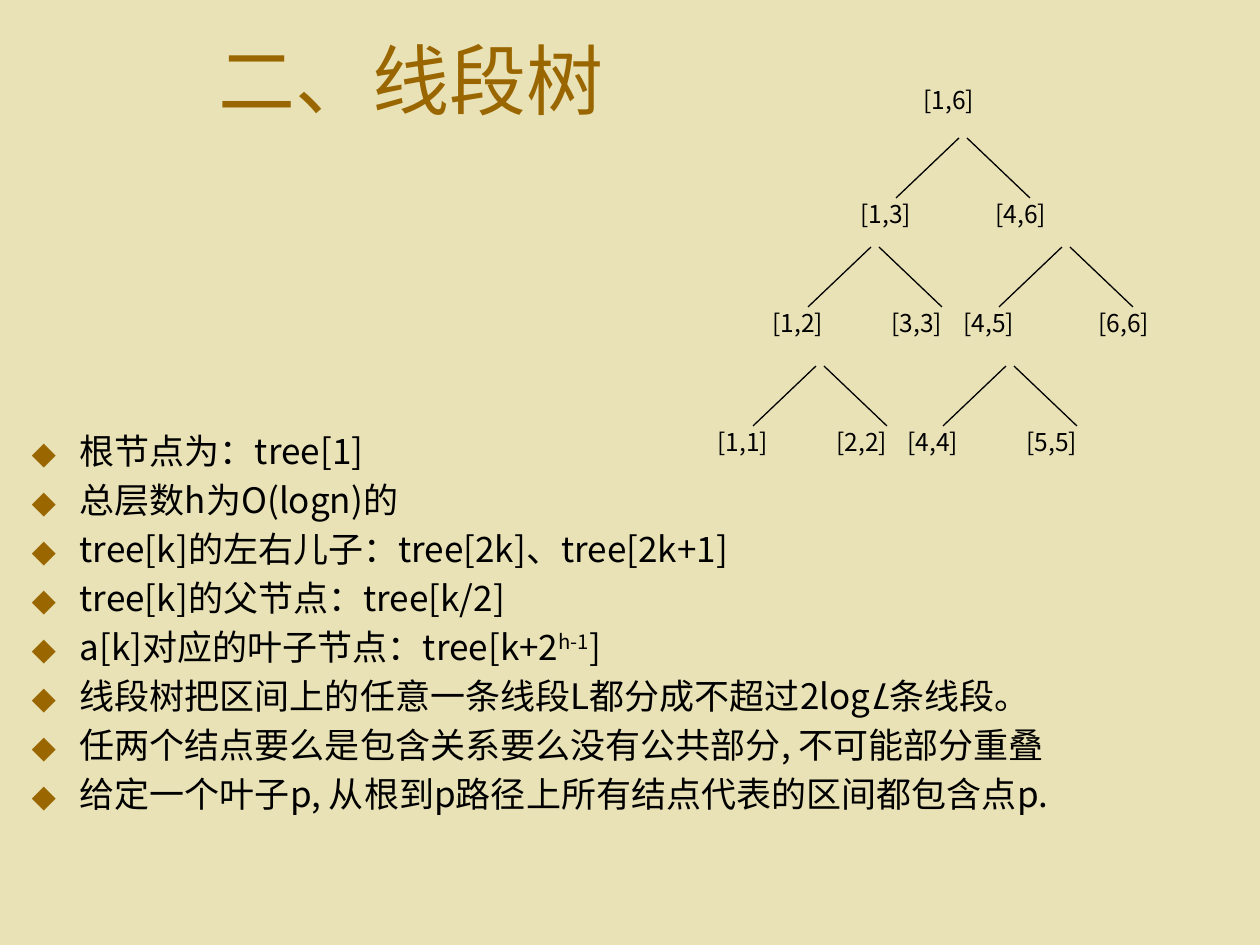
from lxml.etree import SubElement
from pptx import Presentation
from pptx.dml.color import RGBColor
from pptx.enum.shapes import MSO_CONNECTOR
from pptx.enum.text import MSO_ANCHOR, PP_ALIGN
from pptx.oxml.ns import qn
from pptx.util import Emu, Pt

TITLE = "二、线段树"
BULLETS = [
    [("根节点为：tree[1]", "")],
    [("总层数h为O(logn)的", "")],
    [("tree[k]的左右儿子：tree[2k]、tree[2k+1]", "")],
    [("tree[k]的父节点：tree[k/2]", "")],
    [("a[k]对应的叶子节点：tree[k+2", ""), ("h-1", "super"), ("]", "")],
    [("线段树把区间上的任意一条线段L都分成不超过2log", ""), ("L", "italic"), ("条线段。", "")],
    [("任两个结点要么是包含关系要么没有公共部分, 不可能部分重叠", "")],
    [("给定一个叶子p, 从根到p路径上所有结点代表的区间都包含点p.", "")],
]
ROOT = ("[1,6]", 911, 79)
FORKS = [
    (963, 138, "[1,3]", "[4,6]", 20),
    (875, 247, "[1,2]", "[3,3]", 4),
    (1066, 247, "[4,5]", "[6,6]", 20),
    (820, 366, "[1,1]", "[2,2]", 4),
    (1010, 366, "[4,4]", "[5,5]", 4),
]
THEME = {
    "bg": RGBColor.from_string("E9E2B6"),
    "accent": RGBColor.from_string("996600"),
    "ink": RGBColor.from_string("000000"),
    "sans": "Noto Sans CJK SC",
    "serif": "Times New Roman",
    "title": Pt(44), "body": Pt(20), "label": Pt(14),
    "line": Pt(0.75), "gap": Pt(4),
}
HALF_GAP, REACH, DROP = 4, 67, 60
LABEL_LEFT, LABEL_DROP, LABEL_SIZE = -115, 55, (96, 42)


def px(n):
    return Emu(n * 914400 // 126)


def place(sp, *box):
    for name, n in zip(("left", "top", "width", "height"), box):
        setattr(sp, name, px(n))


def add_run(p, text, size, color="ink", font="sans", style=""):
    r = p.add_run()
    r.text = text
    fmt = {"name": THEME[font], "size": THEME[size], "bold": False,
           "italic": style == "italic"}
    for name, value in fmt.items():
        setattr(r.font, name, value)
    r.font.color.rgb = THEME[color]
    rpr = r._r.get_or_add_rPr()
    SubElement(rpr, qn("a:ea")).set("typeface", THEME["sans"])
    if style == "super":
        rpr.set("baseline", "30000")


def add_bullet(p):
    ppr = p._p.get_or_add_pPr()
    ppr.set("marL", str(px(48)))
    ppr.set("indent", str(-px(48)))
    clr = SubElement(SubElement(ppr, qn("a:buClr")), qn("a:srgbClr"))
    clr.set("val", str(THEME["accent"]))
    SubElement(ppr, qn("a:buFont")).set("typeface", THEME["sans"])
    SubElement(ppr, qn("a:buChar")).set("char", "⬥")


def add_label(s, text, x, y):
    tf = s.shapes.add_textbox(px(x), px(y), *map(px, LABEL_SIZE)).text_frame
    tf.word_wrap = True
    p = tf.paragraphs[0]
    p.alignment = PP_ALIGN.JUSTIFY
    add_run(p, text, "label")


def add_edge(s, *ends):
    c = s.shapes.add_connector(MSO_CONNECTOR.STRAIGHT, *map(px, ends))
    c.line.color.rgb = THEME["ink"]
    c.line.width = THEME["line"]
    SubElement(c._element.spPr, qn("a:effectLst"))


def add_tree(s):
    add_label(s, *ROOT)
    for x, y, left, right, right_dx in FORKS:
        for side in (-1, 1):
            add_edge(s, x + side * HALF_GAP, y, x + side * REACH, y + DROP)
        for text, dx in ((left, LABEL_LEFT), (right, right_dx)):
            add_label(s, text, x + dx, y + LABEL_DROP)


def main():
    prs = Presentation()
    prs.slide_width, prs.slide_height = px(1260), px(945)
    s = prs.slides.add_slide(prs.slide_layouts[1])
    s.background.fill.solid()
    s.background.fill.fore_color.rgb = THEME["bg"]

    title, body = s.placeholders
    place(title, -109, 0, 1040, 158)
    title.text_frame.vertical_anchor = MSO_ANCHOR.MIDDLE
    p = title.text_frame.paragraphs[0]
    p.alignment = PP_ALIGN.CENTER
    add_run(p, TITLE, "title", "accent", "serif")

    add_tree(s)

    place(body, 19, 423, 1240, 483)
    tf = body.text_frame
    for i, runs in enumerate(BULLETS):
        p = tf.add_paragraph() if i else tf.paragraphs[0]
        p.line_spacing = 1.0
        p.space_before = THEME["gap"]
        add_bullet(p)
        for text, style in runs:
            add_run(p, text, "body", style=style)
    prs.save("out.pptx")


if __name__ == "__main__":
    main()
